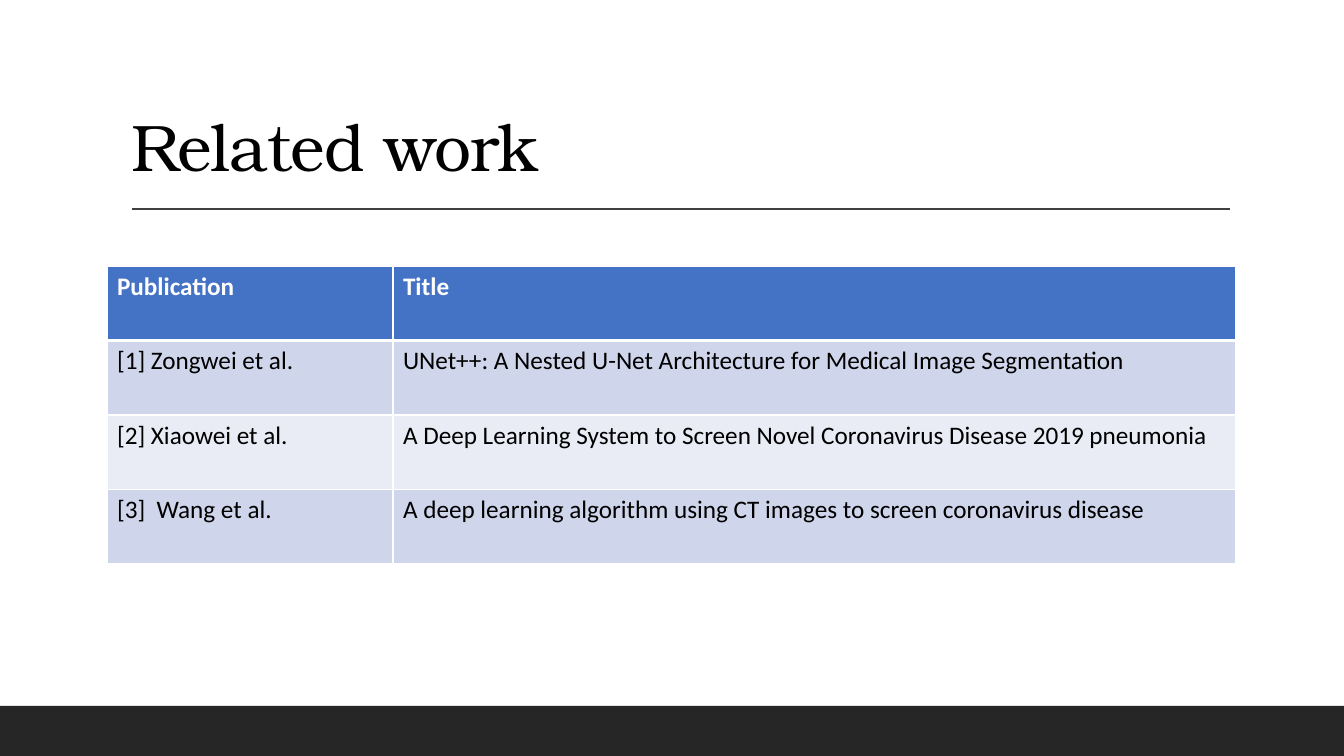
from lxml import etree
from pptx import Presentation
from pptx.dml.color import RGBColor
from pptx.enum.shapes import MSO_CONNECTOR, MSO_SHAPE
from pptx.enum.text import MSO_ANCHOR, PP_ALIGN
from pptx.oxml.ns import qn
from pptx.util import Pt

PX = 914400 / 100.8
RECTANGLE = MSO_SHAPE.RECTANGLE
STRAIGHT = MSO_CONNECTOR.STRAIGHT
LEFT = PP_ALIGN.LEFT
BOTTOM, TOP = MSO_ANCHOR.BOTTOM, MSO_ANCHOR.TOP
color = RGBColor.from_string


def px(*lengths):
    return [round(length * PX) for length in lengths]


def write(frame, text, font="Calibri", size=18, fill="000000", bold=False,
          anchor=TOP, line_spacing=1.0, tracking=0):
    """Fill a text frame with one formatted run; tracking is in hundredths of a point."""
    frame.word_wrap = True
    frame.vertical_anchor = anchor
    paragraph = frame.paragraphs[0]
    paragraph.alignment = LEFT
    paragraph.line_spacing = line_spacing
    run = paragraph.add_run()
    run.text = text
    run.font.name = font
    run.font.size = Pt(size)
    run.font.bold = bold
    run.font.color.rgb = color(fill)
    run.font._element.set("spc", str(tracking))


prs = Presentation()
prs.slide_width, prs.slide_height = px(1344, 756)
slide = prs.slides.add_slide(prs.slide_layouts[5])
shapes = slide.shapes

footer_band = shapes.add_shape(RECTANGLE, *px(0, 706, 1344, 50))
footer_band.shadow.inherit = False
footer_band.fill.solid()
footer_band.fill.fore_color.rgb = color("262626")
footer_band.line.fill.background()

title_rule = shapes.add_connector(STRAIGHT, *px(132, 209, 1230, 209))
title_rule.line.color.rgb = color("404040")
title_rule.line.width = Pt(1)
etree.SubElement(title_rule._element.spPr, qn("a:effectLst"))

heading = shapes.title
heading.left, heading.top, heading.width, heading.height = px(121, 31, 1109, 160)
write(heading.text_frame, "Related work", font="TeX Gyre Bonum", size=47,
      anchor=BOTTOM, line_spacing=0.9, tracking=-50)

publications = [
    ("Publication", "Title"),
    ("[1] Zongwei et al.",
     "UNet++: A Nested U-Net Architecture for Medical Image Segmentation"),
    ("[2] Xiaowei et al.",
     "A Deep Learning System to Screen Novel Coronavirus Disease 2019 pneumonia"),
    ("[3]  Wang et al.",
     "A deep learning algorithm using CT images to screen coronavirus disease"),
]
row_fills = ["4472C4", "CFD5EA", "E9EBF5", "CFD5EA"]
column_widths = px(286, 843)

table = shapes.add_table(len(publications), 2, *px(107, 266, 1129, 298)).table
for column, width in zip(table.columns, column_widths):
    column.width = width

for row_index, (entry, row_fill) in enumerate(zip(publications, row_fills)):
    is_header = row_index == 0
    table.rows[row_index].height = round(74.5 * PX)
    for column_index, text in enumerate(entry):
        cell = table.cell(row_index, column_index)
        write(cell.text_frame, text, bold=is_header,
              fill="FFFFFF" if is_header else "000000")
        cell.fill.solid()
        cell.fill.fore_color.rgb = color(row_fill)
        border_widths = {"lnL": 1, "lnR": 1,
                         "lnT": 3 if row_index == 1 else 1,
                         "lnB": 3 if is_header else 1}
        properties = cell._tc.get_or_add_tcPr()
        for position, (side, points) in enumerate(border_widths.items()):
            border = etree.Element(qn(f"a:{side}"), w=str(Pt(points)))
            solid = etree.SubElement(border, qn("a:solidFill"))
            etree.SubElement(solid, qn("a:srgbClr"), val="FFFFFF")
            properties.insert(position, border)

prs.save("out.pptx")
